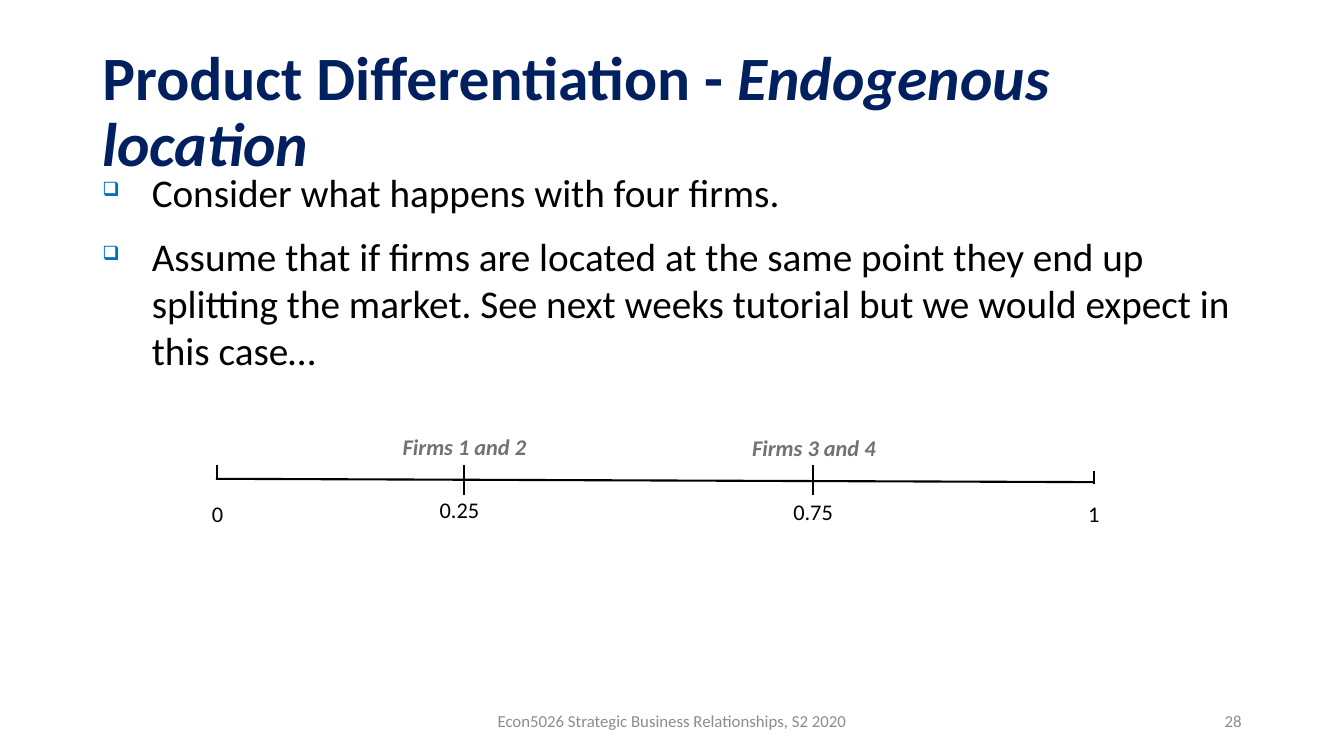
from lxml.etree import SubElement as Sub
from pptx import Presentation
from pptx.dml.color import RGBColor as RGB
from pptx.enum.shapes import MSO_CONNECTOR as Conn
from pptx.enum.text import MSO_ANCHOR as Anchor, PP_ALIGN as Align
from pptx.oxml.ns import qn
from pptx.util import Inches, Pt

NAVY = RGB(0x00, 0x20, 0x60)
BLUE = RGB(0x00, 0x70, 0xC0)
BLACK = RGB(0x00, 0x00, 0x00)
GRAY = RGB(0x8C, 0x8C, 0x8C)
DARK = RGB(0x76, 0x71, 0x71)

WIDE, HIGH = Inches(13.33), Inches(7.5)
COLS, ROWS = 160, 90
LINE = 4.4

TITLE = dict(size=Pt(44), bold=True)
BODY = dict(size=Pt(28))
FOOT = dict(size=Pt(12))
MARK = dict(size=Pt(16))
FIRM = dict(size=Pt(16), bold=True, italic=True)

POINTS = [
    "Consider what happens with four firms.",
    "Assume that if firms are located at the same point they end up splitting "
    "the market. See next weeks tutorial but we would expect in this case…",
]
TICKS = [
    (25.8, 55.4, 57),
    (55.2, 55.4, 58.9),
    (96.8, 55.4, 58.9),
    (130.2, 56.1, 57.6),
]
MARKS = [
    ("0", 25.9, 59),
    ("0.25", 54.7, 58.5),
    ("0.75", 96.8, 58.7),
    ("1", 130.2, 58.9),
]
FIRMS = [("Firms 1 and 2", 55.3, 51), ("Firms 3 and 4", 96.9, 51.1)]


def col(n):
    return round(WIDE * n / COLS)


def row(n):
    return round(HIGH * n / ROWS)


def style(font, color, form):
    font.name = "Calibri"
    font.color.rgb = color
    for key, val in form.items():
        setattr(font, key, val)


def frame(slide, x, y, w, h, anchor=Anchor.TOP):
    box = slide.shapes.add_textbox(col(x), row(y), col(w), row(h))
    text = box.text_frame
    text.word_wrap = True
    text.vertical_anchor = anchor
    return text


def label(text, words, color, form, align):
    para = text.paragraphs[0]
    para.alignment = align
    run = para.add_run()
    run.text = words
    style(run.font, color, form)
    return para


def bullet(para):
    props = para._p.get_or_add_pPr()
    props.set("marL", str(Inches(0.49)))
    props.set("indent", str(-Inches(0.49)))
    tint = Sub(props, qn("a:buClr"))
    Sub(tint, qn("a:srgbClr"), val=str(BLUE))
    Sub(props, qn("a:buSzPct"), val="50000")
    Sub(props, qn("a:buChar"), char="❑")


def points(text, items):
    for i, words in enumerate(items):
        para = text.add_paragraph() if i else text.paragraphs[0]
        bullet(para)
        if i:
            para.space_before = Pt(12)
        run = para.add_run()
        run.text = words
        style(run.font, BLACK, BODY)


def line(slide, x1, y1, x2, y2):
    rule = slide.shapes.add_connector(
        Conn.STRAIGHT, col(x1), row(y1), col(x2), row(y2))
    rule.line.color.rgb = BLACK
    rule.line.width = Pt(1.5)
    Sub(rule._element.spPr, qn("a:effectLst"))


def main():
    deck = Presentation()
    deck.slide_width, deck.slide_height = WIDE, HIGH
    slide = deck.slides.add_slide(deck.slide_layouts[6])

    head = frame(slide, 11, 4.8, 138, 17.4, Anchor.MIDDLE)
    para = label(head, "Product Differentiation - ", NAVY, TITLE, Align.LEFT)
    para.line_spacing = 0.9
    label(head, "Endogenous location", NAVY, TITLE | dict(italic=True), Align.LEFT)

    points(frame(slide, 11, 19.5, 138, 27.4), POINTS)

    foot = frame(slide, 53, 83.4, 54, 4.8, Anchor.MIDDLE)
    label(foot, "Econ5026 Strategic Business Relationships, S2 2020",
          GRAY, FOOT, Align.CENTER)
    page = frame(slide, 113, 83.4, 36, 4.8, Anchor.MIDDLE)
    label(page, "28", GRAY, FOOT, Align.RIGHT)

    line(slide, 130.3, 57.4, 25.7, 57)
    for x, top, end in TICKS:
        line(slide, x, top, x, end)
    for group, color, form, w in ((MARKS, BLACK, MARK, 7.6),
                                  (FIRMS, DARK, FIRM, 19.6)):
        for words, mid, top in group:
            text = frame(slide, mid - w / 2, top, w, LINE)
            label(text, words, color, form, Align.CENTER)

    deck.save("out.pptx")


if __name__ == "__main__":
    main()
